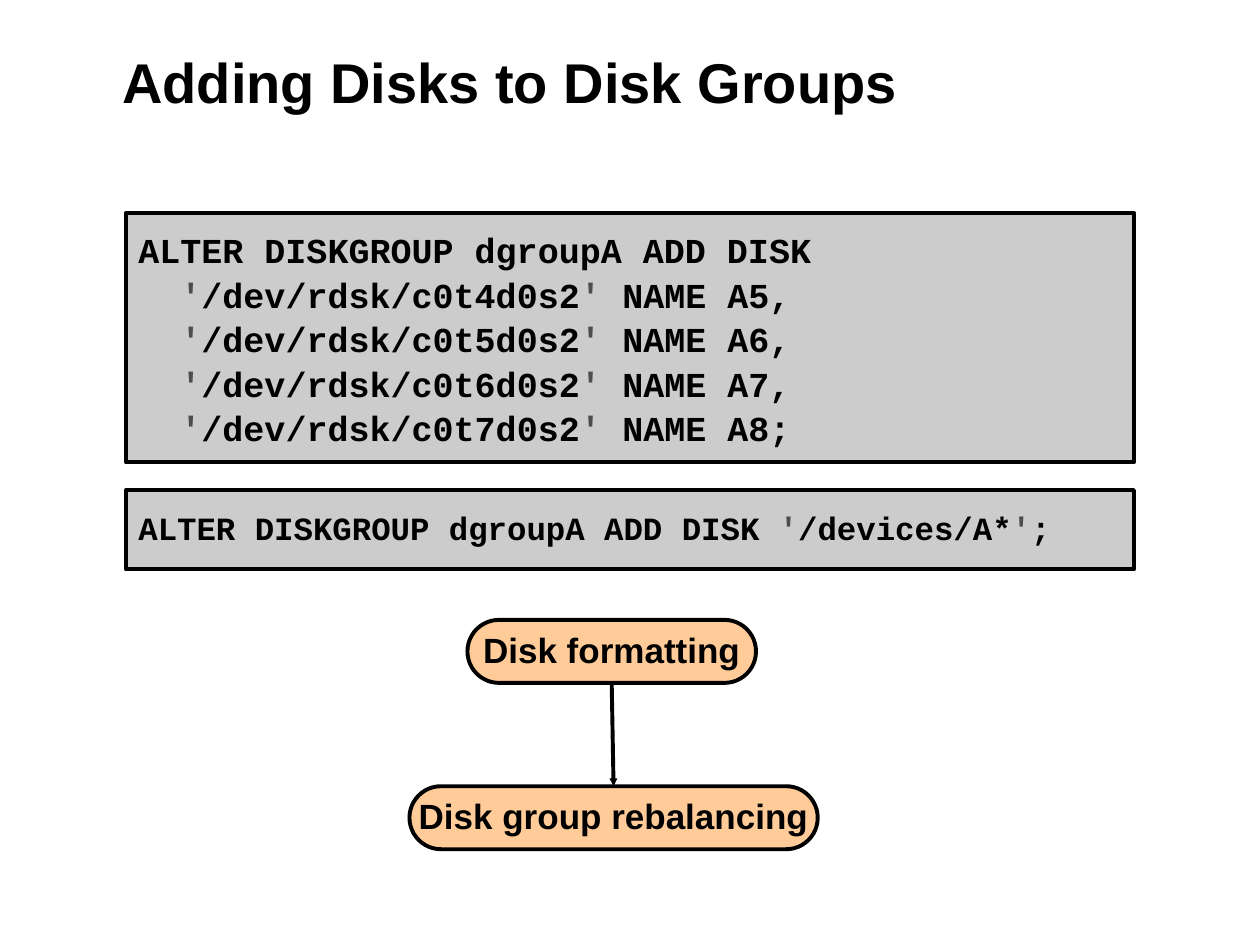
from dataclasses import dataclass

from lxml.etree import SubElement
from pptx import Presentation
from pptx.dml.color import RGBColor
from pptx.enum.shapes import MSO_CONNECTOR, MSO_SHAPE
from pptx.enum.text import MSO_ANCHOR, PP_ALIGN
from pptx.oxml.ns import qn
from pptx.util import Inches, Pt


@dataclass(frozen=True)
class Theme:
    ink: RGBColor = RGBColor(0x00, 0x00, 0x00)
    quote: RGBColor = RGBColor(0x4D, 0x4D, 0x4D)
    code_fill: RGBColor = RGBColor(0xCC, 0xCC, 0xCC)
    step_fill: RGBColor = RGBColor(0xFF, 0xCC, 0x99)
    body_font: str = "Arial"
    code_font: str = "Courier New"
    title_size: float = 32
    step_size: float = 20
    code_size: float = 20
    short_code_size: float = 18.5
    outline: float = 2.25


THEME = Theme()

ADD_NAMED_DISKS = ["ALTER DISKGROUP dgroupA ADD DISK"] + [
    f"  '/dev/rdsk/c0t{target}d0s2' NAME A{target + 1}{end}"
    for target, end in zip(range(4, 8), ",,,;")
]
ADD_MATCHING_DISKS = ["ALTER DISKGROUP dgroupA ADD DISK '/devices/A*';"]


def add_text(paragraph, text, *, size, font=THEME.body_font, color=THEME.ink):
    run = paragraph.add_run()
    run.text = text
    run.font.name = font
    run.font.size = Pt(size)
    run.font.bold = True
    run.font.color.rgb = color


def add_panel(slide, preset, box, fill, margin_y):
    panel = slide.shapes.add_shape(preset, *map(Inches, box))
    panel.shadow.inherit = False
    panel.fill.solid()
    panel.fill.fore_color.rgb = fill
    panel.line.color.rgb = THEME.ink
    panel.line.width = Pt(THEME.outline)
    frame = panel.text_frame
    frame.vertical_anchor = MSO_ANCHOR.MIDDLE
    frame.margin_left = frame.margin_right = Inches(0.1)
    frame.margin_top = frame.margin_bottom = Inches(margin_y)
    return panel


def place_title(slide, box, text):
    title = slide.shapes.title
    title.left, title.top, title.width, title.height = map(Inches, box)
    frame = title.text_frame
    frame.vertical_anchor = MSO_ANCHOR.TOP
    frame.margin_left = frame.margin_right = frame.margin_bottom = 0
    frame.margin_top = Inches(0.05)
    paragraph = frame.paragraphs[0]
    paragraph.alignment = PP_ALIGN.LEFT
    add_text(paragraph, text, size=THEME.title_size)


def place_code(slide, box, lines, size, spacing):
    """Draw a code panel whose quote marks are greyed."""
    frame = add_panel(slide, MSO_SHAPE.RECTANGLE, box, THEME.code_fill, 0.01).text_frame
    frame.word_wrap = True
    for number, line in enumerate(lines):
        paragraph = frame.add_paragraph() if number else frame.paragraphs[0]
        paragraph.alignment = PP_ALIGN.LEFT
        paragraph.line_spacing = spacing
        for index, code in enumerate(line.split("'")):
            if index:
                add_text(paragraph, "'", size=size, font=THEME.code_font, color=THEME.quote)
            add_text(paragraph, code, size=size, font=THEME.code_font)


def place_step(slide, box, text):
    step = add_panel(slide, MSO_SHAPE.ROUNDED_RECTANGLE, box, THEME.step_fill, 0.05)
    step.adjustments[0] = 0.5
    step.text_frame.word_wrap = False
    paragraph = step.text_frame.paragraphs[0]
    paragraph.alignment = PP_ALIGN.CENTER
    paragraph.line_spacing = 0.95
    add_text(paragraph, text, size=THEME.step_size)
    return step


def join_steps(slide, upper, lower):
    arrow = slide.shapes.add_connector(MSO_CONNECTOR.STRAIGHT, 0, 0, 0, 0)
    arrow.begin_connect(upper, 2)
    arrow.end_connect(lower, 0)
    arrow.line.color.rgb = THEME.ink
    arrow.line.width = Pt(THEME.outline)
    SubElement(arrow.line._get_or_add_ln(), qn("a:tailEnd"), type="triangle", w="sm", len="sm")
    SubElement(arrow._element.spPr, qn("a:effectLst"))


def place_process(slide, box):
    left, top, width, height = box
    step_height = 0.5
    formatting = place_step(
        slide, (left + 0.46, top, 2.29, step_height), "Disk formatting")
    rebalancing = place_step(
        slide, (left, top + height - step_height, width, step_height),
        "Disk group rebalancing")
    join_steps(slide, formatting, rebalancing)


def main():
    presentation = Presentation()
    presentation.slide_width = Inches(10)
    presentation.slide_height = Inches(7.5)
    slide = presentation.slides.add_slide(presentation.slide_layouts[5])
    place_title(slide, (0.97, 0.33, 8.29, 1.03), "Adding Disks to Disk Groups")
    place_code(slide, (1, 1.69, 8, 1.98), ADD_NAMED_DISKS, THEME.code_size, 1.06)
    place_code(slide, (1, 3.89, 8, 0.63), ADD_MATCHING_DISKS, THEME.short_code_size, 0.9)
    place_process(slide, (3.25, 4.92, 3.24, 1.82))
    presentation.save("out.pptx")


if __name__ == "__main__":
    main()
